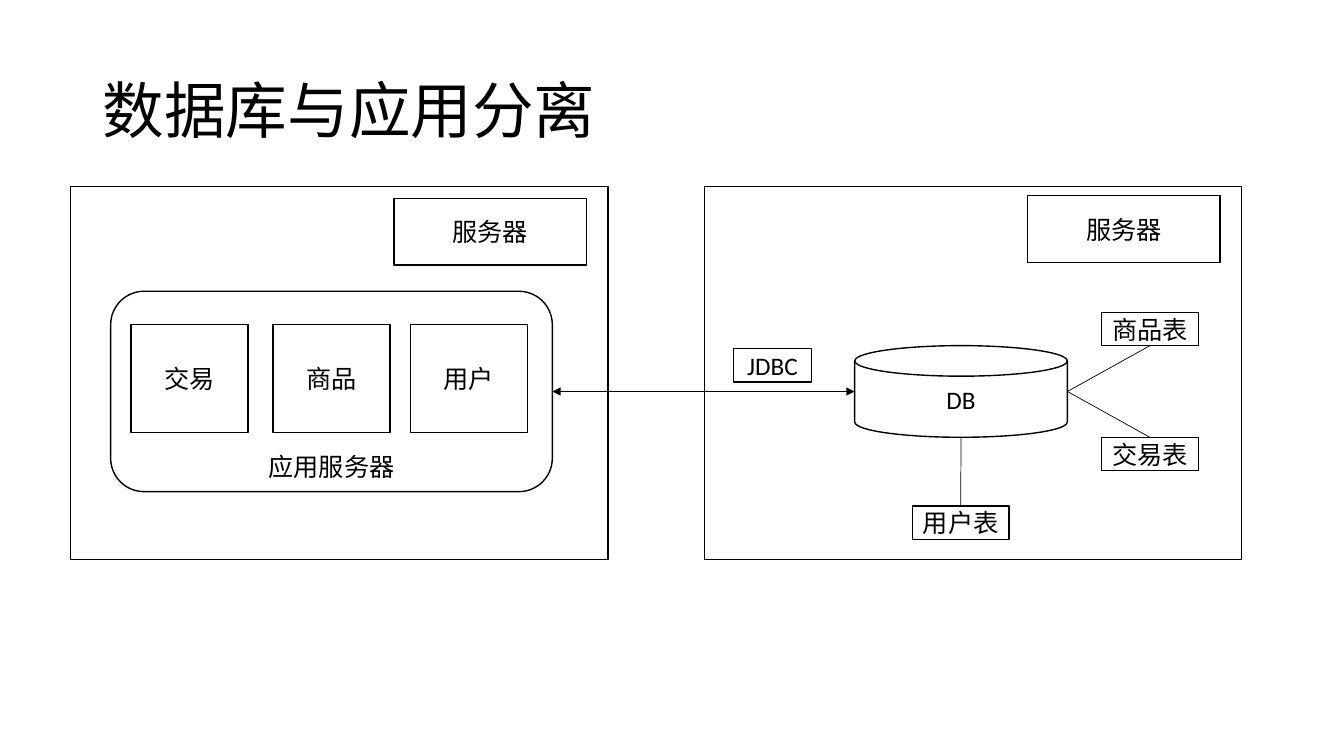
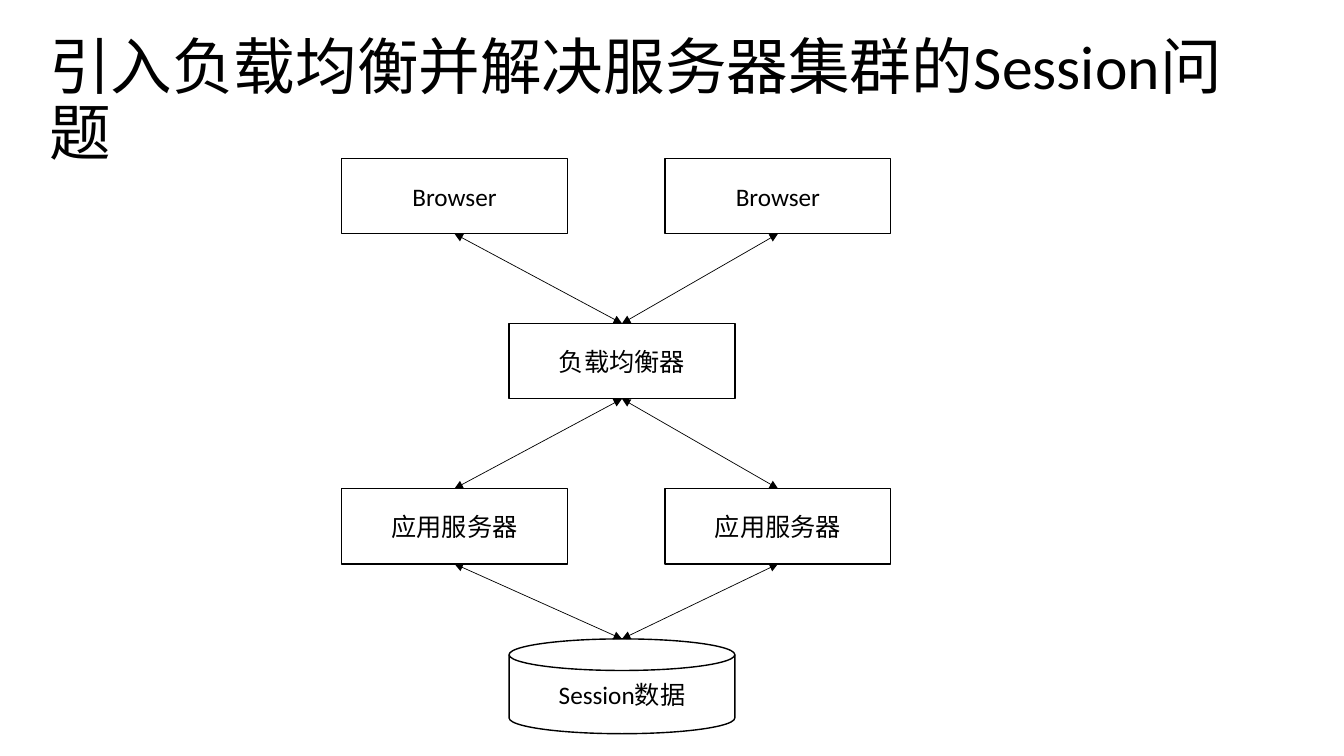
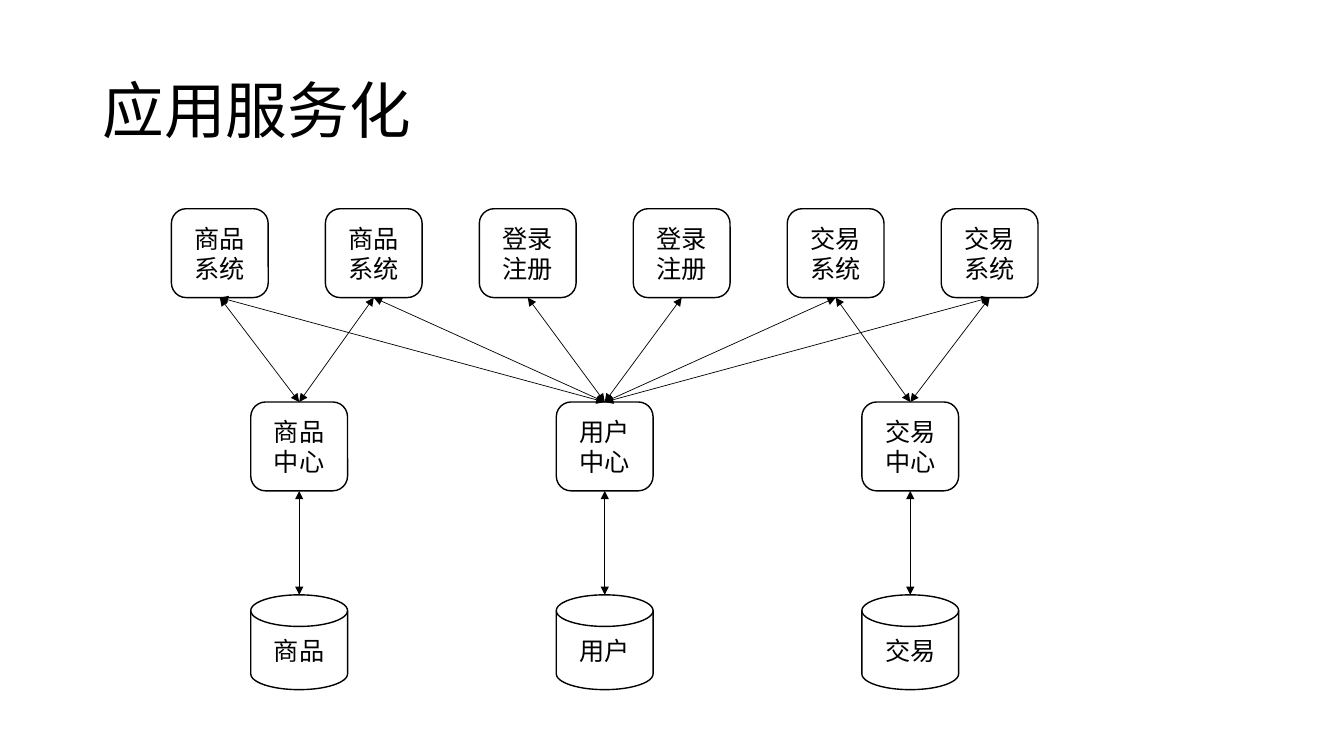
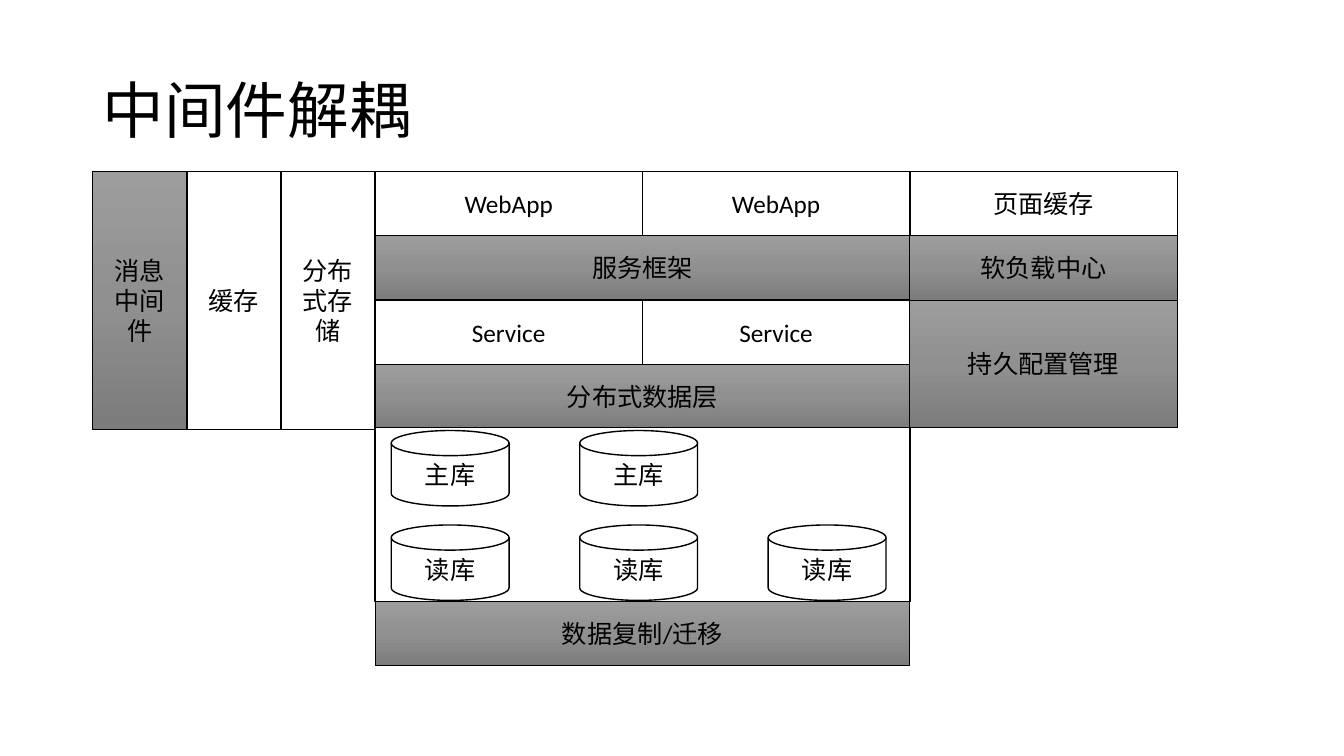
from copy import deepcopy

from lxml import etree
from pptx import Presentation
from pptx.dml.color import RGBColor
from pptx.enum.shapes import MSO_CONNECTOR, MSO_SHAPE
from pptx.enum.text import MSO_ANCHOR, PP_ALIGN
from pptx.oxml.ns import qn
from pptx.util import Cm, Pt

# Shared style
FONT = "Calibri"
BLACK = RGBColor(0x00, 0x00, 0x00)
WHITE = RGBColor(0xFF, 0xFF, 0xFF)
GREY_STOPS = (
    (0, RGBColor(0x9D, 0x9D, 0x9D)),
    (0.5, RGBColor(0x90, 0x90, 0x90)),
    (1, RGBColor(0x7C, 0x7C, 0x7C)),
)
TITLE_AREA = (2.34, 1.02, 29.21, 3.68)

RECT = MSO_SHAPE.RECTANGLE
ROUND = MSO_SHAPE.ROUNDED_RECTANGLE
DISK = MSO_SHAPE.FLOWCHART_MAGNETIC_DISK
STRAIGHT = MSO_CONNECTOR.STRAIGHT
MIDDLE = MSO_ANCHOR.MIDDLE
BOTTOM = MSO_ANCHOR.BOTTOM
CENTER = PP_ALIGN.CENTER


def write_text(frame, text, size):
    frame.word_wrap = True
    frame.vertical_anchor = MIDDLE
    frame.text = text
    para = frame.paragraphs[0]
    for span in para.runs:
        span.font.name = FONT
        span.font.size = Pt(size)
        span.font.color.rgb = BLACK
    return para


def add_page(deck, title, area=TITLE_AREA):
    page = deck.slides.add_slide(deck.slide_layouts[6])
    box = page.shapes.add_textbox(*map(Cm, area))
    write_text(box.text_frame, title, 44).line_spacing = 0.9
    return page


def add_box(page, text, left, top, width, height, kind=RECT):
    """White outlined shape with centred text."""
    box = page.shapes.add_shape(kind, Cm(left), Cm(top), Cm(width), Cm(height))
    box.shadow.inherit = False
    box.fill.solid()
    box.fill.fore_color.rgb = WHITE
    box.line.color.rgb = BLACK
    box.line.width = Pt(1)
    if text:
        write_text(box.text_frame, text, 18).alignment = CENTER
    return box


def add_grey_box(page, text, left, top, width, height):
    """Box with a vertical three-stop grey gradient."""
    box = add_box(page, text, left, top, width, height)
    box.line.width = Pt(0.5)
    box.fill.gradient()
    box.fill.gradient_angle = 270
    stop_list = box.element.spPr.find(".//" + qn("a:gsLst"))
    stop_list.insert(1, deepcopy(stop_list[0]))
    for stop, (position, color) in zip(box.fill.gradient_stops, GREY_STOPS):
        stop.position = position
        stop.color.rgb = color


def side(box, name):
    """Middle point of one side of a shape."""
    across, down = {"left": (0, 0.5), "right": (1, 0.5),
                    "top": (0.5, 0), "bottom": (0.5, 1)}[name]
    return (int(box.left + box.width * across),
            int(box.top + box.height * down))


def add_link(page, start, end, arrows=True):
    link = page.shapes.add_connector(STRAIGHT, *start, *end)
    link.line.color.rgb = BLACK
    link.line.width = Pt(0.5)
    properties = link.element.spPr
    if arrows:
        outline = properties.find(qn("a:ln"))
        for tag in ("a:headEnd", "a:tailEnd"):
            etree.SubElement(outline, qn(tag), type="triangle")
    etree.SubElement(properties, qn("a:effectLst"))


def add_down_link(page, upper, lower):
    add_link(page, side(upper, "bottom"), side(lower, "top"))


def build_separation(deck):
    page = add_page(deck, "数据库与应用分离")

    # Server frames with their labels
    for left, label_top in ((1.78, 5), (17.75, 4.93)):
        add_box(page, "", left, 4.7, 13.54, 9.4).fill.background()
        add_box(page, "服务器", left + 8.15, label_top, 4.85, 1.68)

    # Application server and its modules
    app = add_box(page, "应用服务器", 2.79, 7.34, 11.13, 5.05, ROUND)
    app.text_frame.vertical_anchor = BOTTOM
    app.text_frame.margin_bottom = 0
    for name, left in (("交易", 3.3), ("商品", 6.88), ("用户", 10.34)):
        add_box(page, name, left, 8.18, 2.95, 2.72)

    # Database and its tables
    database = add_box(page, "DB", 21.54, 8.71, 5.36, 2.31, DISK)
    add_link(page, side(app, "right"), side(database, "left"))
    add_box(page, "JDBC", 18.49, 8.79, 1.96, 0.84)
    for name, left, top, from_side, to_side in (
        ("商品表", 27.76, 7.87, "right", "bottom"),
        ("交易表", 27.76, 11.02, "right", "top"),
        ("用户表", 22.99, 12.75, "bottom", "top"),
    ):
        table = add_box(page, name, left, top, 2.44, 0.84)
        add_link(page, side(database, from_side), side(table, to_side), False)


def build_balancing(deck):
    page = add_page(deck, "引入负载均衡并解决服务器集群的Session问题",
                    (0.99, 0.74, 31.55, 3.68))
    width, height = 5.69, 1.9
    pair_lefts, center_left = (8.61, 16.76), 12.83
    browser_top, balancer_top, server_top = (3.99 + 4.16 * row for row in range(3))

    balancer = add_box(page, "负载均衡器", center_left, balancer_top, width, height)
    sessions = add_box(page, "Session数据", center_left, 16.1, width, 2.39, DISK)
    for left in pair_lefts:
        browser = add_box(page, "Browser", left, browser_top, width, height)
        server = add_box(page, "应用服务器", left, server_top, width, height)
        add_down_link(page, browser, balancer)
        add_down_link(page, balancer, server)
        add_down_link(page, server, sessions)


def build_services(deck):
    page = add_page(deck, "应用服务化")
    width, height = 2.44, 2.24

    # Service centers, each above its database
    centers = []
    for column, name in enumerate(("商品", "用户", "交易")):
        left = 6.32 + 7.7 * column
        center = add_box(page, name + "中心", left, 10.13, width, height, ROUND)
        database = add_box(page, name, left, 14.99, width, 2.39, DISK)
        add_down_link(page, center, database)
        centers.append(center)

    # Systems and the centers they call
    goods, users, trades = centers
    systems = (("商品系统", (goods, users)), ("登录注册", (users,)),
               ("交易系统", (users, trades)))
    for column in range(6):
        name, called = systems[column // 2]
        system = add_box(page, name, 4.32 + 3.88 * column, 5.26,
                         width, height, ROUND)
        for center in called:
            add_down_link(page, system, center)


def build_middleware(deck):
    page = add_page(deck, "中间件解耦")
    top, row, column = 4.32, 1.62, 6.74
    narrow = 2.37
    first = 2.34
    middle = first + 3 * narrow
    right = middle + 2 * column

    # Tall columns on the left
    for index, (add, name) in enumerate((
        (add_grey_box, "消息中间件"), (add_box, "缓存"), (add_box, "分布式存储"),
    )):
        add(page, name, first + narrow * index, top, narrow, 6.5)

    # Layers in the middle: a pair of boxes over a wide band
    for index, (name, band) in enumerate((
        ("WebApp", "服务框架"), ("Service", "分布式数据层"),
    )):
        layer_top = top + 2 * row * index
        for left in (middle, middle + column):
            add_box(page, name, left, layer_top, column, row)
        add_grey_box(page, band, middle, layer_top + row, 2 * column, row)

    # Right column
    add_box(page, "页面缓存", right, top, column, row)
    add_grey_box(page, "软负载中心", right, top + row, column, row)
    add_grey_box(page, "持久配置管理", right, top + 2 * row, column, 3.2)

    # Databases
    add_box(page, "", middle, 10.77, 2 * column, 4.39)
    add_grey_box(page, "数据复制/迁移", middle, 15.16, 2 * column, row)
    for name, count, disk_top in (("主库", 2, 10.85), ("读库", 3, 13.23)):
        for index in range(count):
            add_box(page, name, 9.86 + 4.75 * index, disk_top, 2.97, 1.9, DISK)


def main():
    deck = Presentation()
    deck.slide_width, deck.slide_height = Cm(33.87), Cm(19.05)
    build_separation(deck)
    build_balancing(deck)
    build_services(deck)
    build_middleware(deck)
    deck.save("out.pptx")


main()
